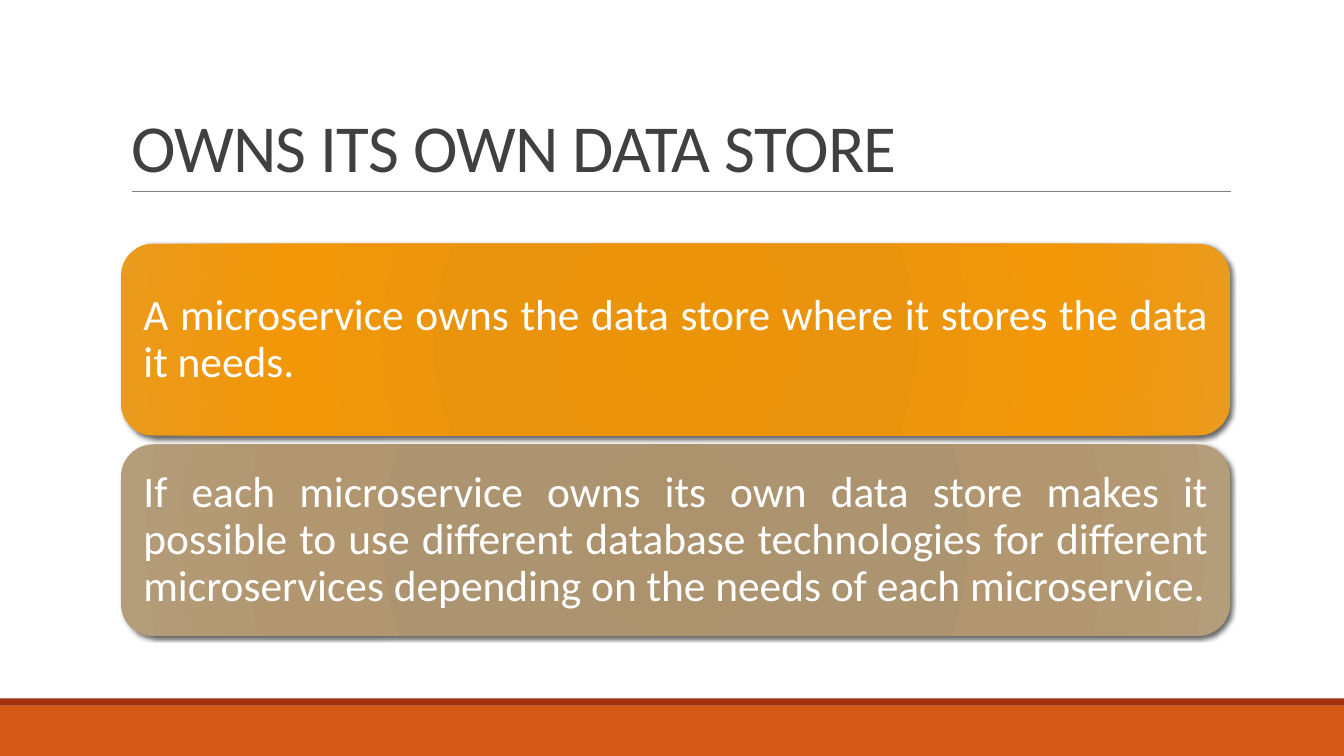
from lxml.etree import SubElement
from pptx import Presentation
from pptx.dml.color import RGBColor
from pptx.enum.shapes import MSO_CONNECTOR, MSO_SHAPE
from pptx.enum.text import MSO_ANCHOR, PP_ALIGN
from pptx.oxml import parse_xml
from pptx.oxml.ns import nsdecls, qn
from pptx.util import Inches, Pt


def rgb(value):
    return RGBColor.from_string(value)


class Deck:
    font = "Calibri"
    stops = (0, 34, 70, 100)

    def __init__(self, prs):
        self.s = prs.slides.add_slide(prs.slide_layouts[5])

    def add_text(self, tf, text, size, color, align, spacing):
        tf.word_wrap = True
        p = tf.paragraphs[0]
        p.alignment = align
        p.line_spacing = spacing
        r = p.add_run()
        r.text = text
        r.font.name = self.font
        r.font.size = Pt(size)
        r.font.color.rgb = rgb(color)
        return r

    def title(self, text, left, top, width, height):
        sp = self.s.shapes.title
        sp.left, sp.top = Inches(left), Inches(top)
        sp.width, sp.height = Inches(width), Inches(height)
        sp.text_frame.vertical_anchor = MSO_ANCHOR.BOTTOM
        r = self.add_text(sp.text_frame, text, 48, "404040", PP_ALIGN.LEFT, 0.85)
        r.font._element.set("spc", "-50")

    def shape(self, kind, left, top, width, height):
        sp = self.s.shapes.add_shape(
            kind, Inches(left), Inches(top), Inches(width), Inches(height))
        sp.shadow.inherit = False
        sp.line.fill.background()
        return sp

    def band(self, top, height, color):
        sp = self.shape(MSO_SHAPE.RECTANGLE, 0, top, 13.33, height)
        sp.fill.solid()
        sp.fill.fore_color.rgb = rgb(color)

    def rule(self, left, right, y):
        line = self.s.shapes.add_connector(
            MSO_CONNECTOR.STRAIGHT, Inches(left), Inches(y), Inches(right), Inches(y))
        line.line.color.rgb = rgb("808080")
        line.line.width = Pt(0.5)
        SubElement(line._element.spPr, qn("a:effectLst"))

    def card(self, text, colors, left, top, width, height):
        sp = self.shape(MSO_SHAPE.ROUNDED_RECTANGLE, left, top, width, height)
        self.gradient(sp, colors)
        self.drop_shadow(sp)
        tf = sp.text_frame
        tf.margin_left = tf.margin_right = Inches(0.13)
        tf.margin_top = tf.margin_bottom = Inches(0.13)
        tf.vertical_anchor = MSO_ANCHOR.MIDDLE
        self.add_text(tf, text, 31, "FFFFFF", PP_ALIGN.JUSTIFY, 0.9)

    def gradient(self, sp, colors):
        stops = "".join(
            f'<a:gs pos="{pos * 1000}"><a:srgbClr val="{color}"/></a:gs>'
            for pos, color in zip(self.stops, colors))
        fill = parse_xml(
            f'<a:gradFill {nsdecls("a")} rotWithShape="1"><a:gsLst>{stops}</a:gsLst>'
            '<a:path path="circle"><a:fillToRect l="100000" t="100000" '
            'r="100000" b="100000"/></a:path></a:gradFill>')
        sp._element.spPr.find(qn("a:prstGeom")).addnext(fill)

    def drop_shadow(self, sp):
        effects = sp._element.spPr.find(qn("a:effectLst"))
        effects.append(parse_xml(
            f'<a:outerShdw {nsdecls("a")} blurRad="{Pt(3.5)}" dist="{Pt(2)}" '
            'dir="2700000" algn="br" rotWithShape="0"><a:srgbClr val="000000">'
            '<a:alpha val="60000"/></a:srgbClr></a:outerShdw>'))


def main():
    prs = Presentation()
    prs.slide_width, prs.slide_height = Inches(13.33), Inches(7.5)
    deck = Deck(prs)
    deck.band(7, 0.5, "D55816")
    deck.band(6.93, 0.07, "A5300F")
    deck.rule(1.31, 12.21, 1.9)
    deck.title("OWNS ITS OWN DATA STORE", 1.2, 0.31, 11, 1.59)
    cards = [
        ("A microservice owns the data store where it stores the data it needs.",
         ("EC9408", "EA940D", "F29708", "EA9A1C")),
        ("If each microservice owns its own data store makes it possible to use "
         "different database technologies for different microservices depending "
         "on the needs of each microservice.",
         ("AC936D", "AD9470", "B19670", "B49D7A")),
    ]
    for i, (text, colors) in enumerate(cards):
        deck.card(text, colors, 1.2, 2.42 + i * 1.99, 11, 1.9)
    prs.save("out.pptx")


if __name__ == "__main__":
    main()
